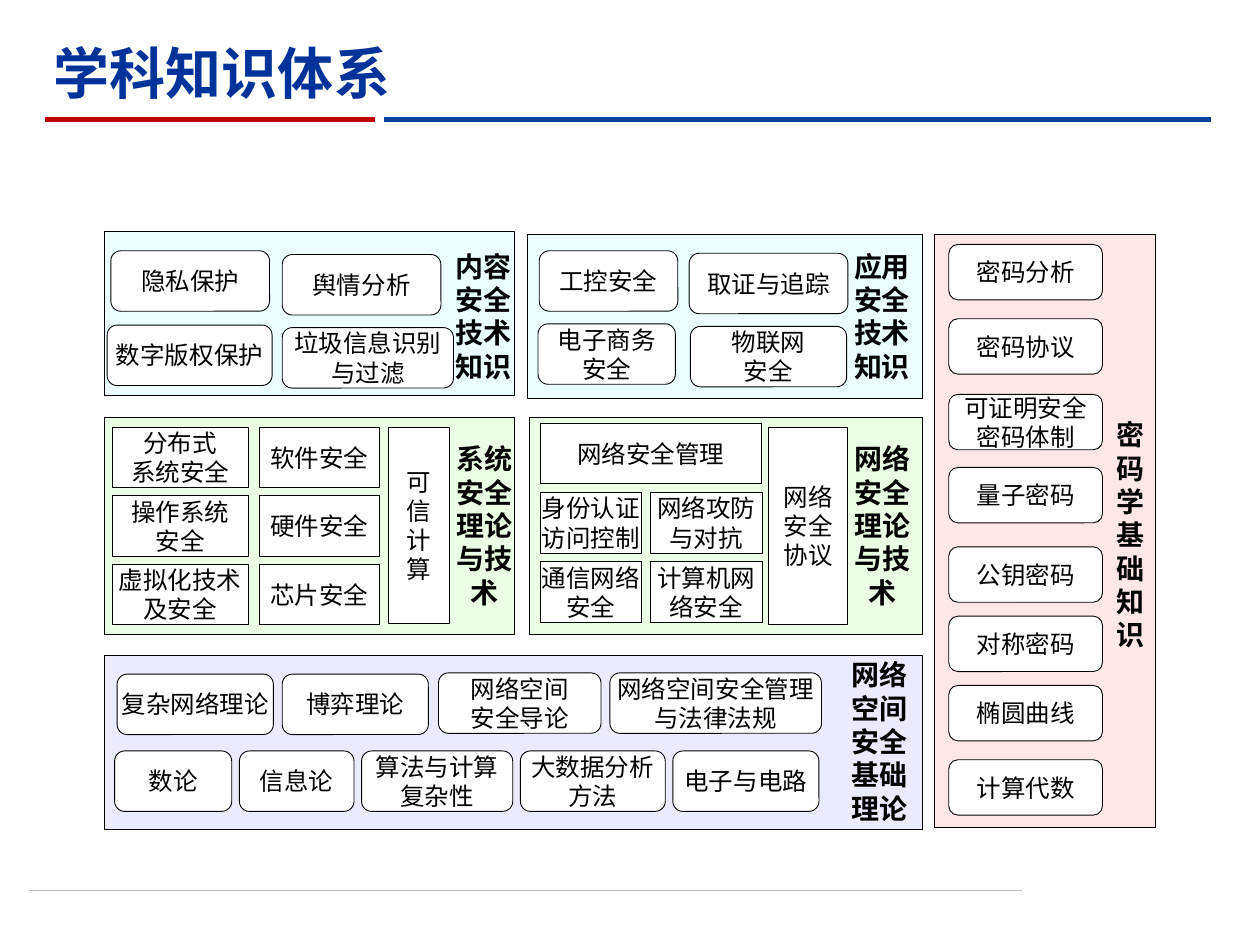
from dataclasses import dataclass

from lxml import etree
from pptx import Presentation
from pptx import util as u
from pptx.dml.color import RGBColor
from pptx.enum import shapes, text
from pptx.oxml.ns import qn

COLS, ROWS = 100, 75  # square cells, a tenth of an inch each
SLIDE_W, SLIDE_H = u.Inches(10), u.Inches(7.5)
FONT = "Noto Sans CJK SC"
BLACK, WHITE = "000000", "FFFFFF"
RECT = shapes.MSO_SHAPE.RECTANGLE
ROUND = shapes.MSO_SHAPE.ROUNDED_RECTANGLE
CENTER = text.PP_ALIGN.CENTER
LINE_PITCH = 1.19
BOX_H = 4.8


@dataclass
class Box:
    """A place on the grid: left column, top row, columns wide, rows high."""
    x: float
    y: float
    w: float
    h: float = BOX_H


@dataclass
class Topic:
    words: str
    box: Box


@dataclass
class Panel:
    box: Box
    fill: str
    title: Topic
    shape: int
    topics: list[Topic]


@dataclass
class Rule:
    x1: float
    x2: float
    y: float
    color: str
    width: float


def row(y: float, *cells: tuple[str, float, float]) -> list[Topic]:
    """Topics side by side, each given as words, left column and width."""
    return [Topic(words, Box(x, y, w)) for words, x, w in cells]


def column(x: float, w: float, h: float, tops: list[float], names: list[str]) -> list[Topic]:
    return [Topic(name, Box(x, y, w, h)) for name, y in zip(names, tops)]


SYSTEM_TOPS = [33.9 + 5.45 * i for i in range(3)]
CRYPTO_TOPS = [19.4, 25.3, 31.3, 37.1, 43.4, 48.9, 54.4, 60.3]

PANELS = [
    Panel(Box(8.3, 18.4, 32.5, 13), "EBFFFF",
          Topic("内容安全技术知识", Box(35.6, 19.4, 5.6, 11.4)), ROUND,
          row(19.9, ("隐私保护", 8.8, 12.6))
          + row(20.2, ("舆情分析", 22.4, 12.6))
          + row(25.8, ("数字版权保护", 8.5, 13.1))
          + row(26, ("垃圾信息识别与过滤", 22.4, 13.6))),
    Panel(Box(41.9, 18.6, 31.3, 13), "EBFFFF",
          Topic("应用安全技术知识", Box(67.2, 19.4, 5.6, 11.4)), ROUND,
          row(19.9, ("工控安全", 42.8, 11))
          + row(20.1, ("取证与追踪", 54.7, 12.6))
          + row(25.7, ("电子商务\n安全", 42.7, 10.9))
          + row(25.9, ("物联网\n安全", 54.8, 12.4))),
    Panel(Box(8.3, 33.1, 32.5, 17.3), "EBFFE5",
          Topic("系统安全理论与技术", Box(35.7, 34, 5.5, 15.4)), RECT,
          column(8.9, 10.8, BOX_H, SYSTEM_TOPS,
                 ["分布式\n系统安全", "操作系统\n安全", "虚拟化技术\n及安全"])
          + column(20.6, 9.5, BOX_H, SYSTEM_TOPS, ["软件安全", "硬件安全", "芯片安全"])
          + [Topic("可\n信\n计\n算", Box(30.8, 33.9, 4.9, 15.6))]),
    Panel(Box(42, 33.1, 31.2, 17.3), "EBFFE5",
          Topic("网络安全理论与技术", Box(67.3, 34, 5.5, 15.4)), RECT,
          row(33.6, ("网络安全管理", 42.9, 17.5))
          + row(39.1, ("身份认证访问控制", 42.9, 8), ("网络攻防与对抗", 51.6, 8.9))
          + row(44.6, ("通信网络安全", 42.9, 8), ("计算机网络安全", 51.6, 8.9))
          + [Topic("网络\v安全\v协议", Box(61, 33.9, 6.3, 15.7))]),
    Panel(Box(8.3, 52, 64.9, 13.8), "EBEBFF",
          Topic("网络空间安全基础理论", Box(66.7, 52.3, 6.2, 13.1)), ROUND,
          row(53.5, ("复杂网络理论", 9.3, 12.4), ("博弈理论", 22.4, 11.6))
          + row(53.4, ("网络空间\n安全导论", 34.8, 12.9),
                ("网络空间安全管理与法律法规", 48.4, 16.8))
          + row(59.6, ("数论", 9.1, 9.3), ("信息论", 19, 9.1),
                ("算法与计算复杂性", 28.7, 12), ("大数据分析方法", 41.3, 11.5),
                ("电子与电路", 53.4, 11.6))),
    Panel(Box(74.2, 18.6, 17.5, 47.1), "FFE7E7",
          Topic("密码学基础知识", Box(88.3, 24.3, 2.9, 36.3)), ROUND,
          column(75.3, 12.2, 4.4, CRYPTO_TOPS,
                 ["密码分析", "密码协议", "可证明安全\n密码体制", "量子密码",
                  "公钥密码", "对称密码", "椭圆曲线", "计算代数"])),
]

RULES = [
    Rule(2.3, 81.1, 70.7, "BFBFBF", 0.5),
    Rule(30.5, 96.1, 9.5, "004299", 3),
    Rule(3.6, 29.8, 9.5, "C00000", 3),
]


def rgb(value: str) -> RGBColor:
    return RGBColor.from_string(value)


def across(cols: float) -> int:
    return round(SLIDE_W * cols / COLS)


def down(rows: float) -> int:
    return round(SLIDE_H * rows / ROWS)


def place(b: Box) -> tuple[int, int, int, int]:
    return across(b.x), down(b.y), across(b.w), down(b.h)


def write(sp, words: str, size: float, color: str = BLACK, bold: bool = False,
          align=CENTER, spacing=None, margin: int | None = 0) -> None:
    tf = sp.text_frame
    tf.text = words
    frame = {"word_wrap": True, "vertical_anchor": text.MSO_ANCHOR.MIDDLE}
    if margin is not None:
        frame |= {f"margin_{side}": margin for side in ("left", "top", "right", "bottom")}
    for name, value in frame.items():
        setattr(tf, name, value)
    for p in tf.paragraphs:
        p.alignment = align
        p.line_spacing = spacing or u.Pt(size * LINE_PITCH)
        for r in p.runs:
            for name, value in {"size": u.Pt(size), "bold": bold, "name": FONT}.items():
                setattr(r.font, name, value)
            r.font.color.rgb = rgb(color)
            etree.SubElement(r.font._element, qn("a:ea"), typeface=FONT)


def draw_box(s, kind: int, b: Box, fill: str):
    sp = s.shapes.add_shape(kind, *place(b))
    sp.shadow.inherit = False
    sp.fill.solid()
    sp.fill.fore_color.rgb = rgb(fill)
    sp.line.color.rgb = rgb(BLACK)
    sp.line.width = u.Pt(0.5)
    return sp


def draw_panel(s, panel: Panel) -> None:
    draw_box(s, RECT, panel.box, panel.fill)
    for topic in panel.topics:
        write(draw_box(s, panel.shape, topic.box, WHITE), topic.words, 14)
    write(s.shapes.add_textbox(*place(panel.title.box)), panel.title.words, 16, bold=True)


def draw_rule(s, rule: Rule) -> None:
    line = s.shapes.add_connector(shapes.MSO_CONNECTOR.STRAIGHT, across(rule.x1),
                                  down(rule.y), across(rule.x2), down(rule.y))
    line.line.color.rgb = rgb(rule.color)
    line.line.width = u.Pt(rule.width)
    etree.SubElement(line._element.spPr, qn("a:effectLst"))


def main() -> None:
    prs = Presentation()
    prs.slide_width, prs.slide_height = SLIDE_W, SLIDE_H
    s = prs.slides.add_slide(prs.slide_layouts[6])
    for rule in RULES:
        draw_rule(s, rule)
    for panel in PANELS:
        draw_panel(s, panel)
    heading = s.shapes.add_textbox(*place(Box(3.3, 2.1, 76.6, 8)))
    write(heading, "学科知识体系", 32, "003399", True, text.PP_ALIGN.LEFT, 0.9, None)
    prs.save("out.pptx")


if __name__ == "__main__":
    main()
